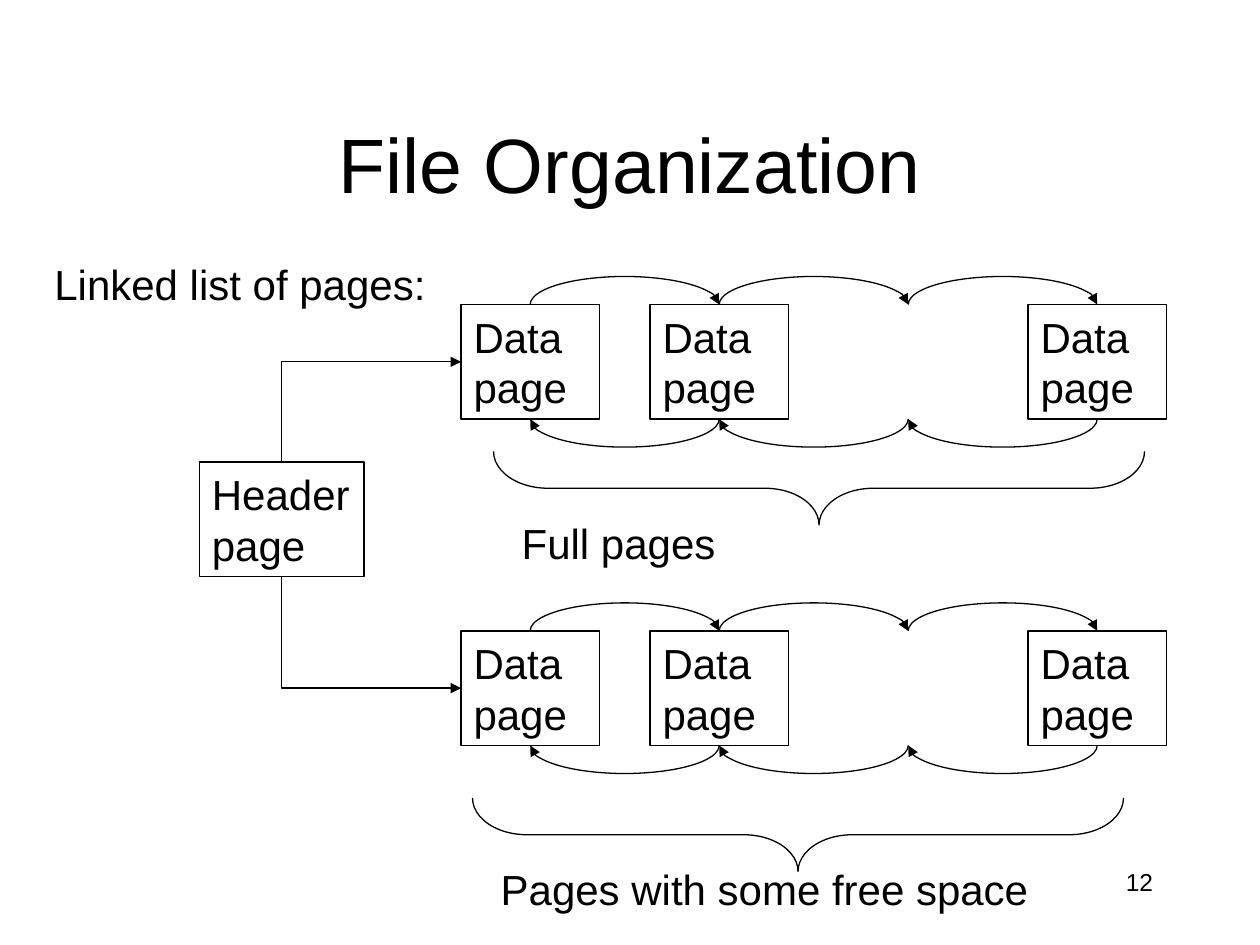
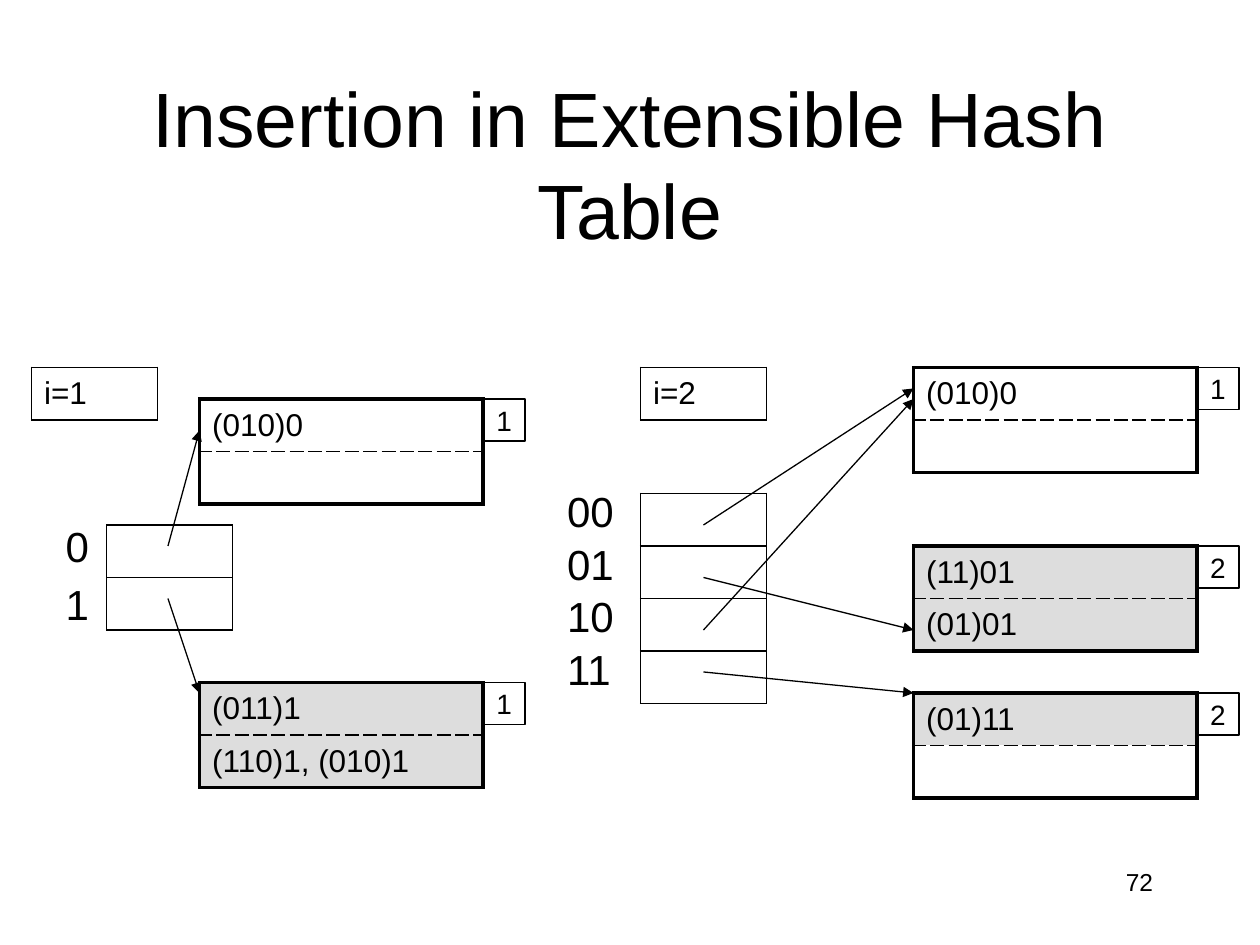
from dataclasses import dataclass

import lxml.etree
import pptx
import pptx.dml.color
import pptx.enum.dml
import pptx.enum.shapes
import pptx.enum.text
import pptx.oxml.ns
import pptx.shapes.autoshape
import pptx.shapes.connector
import pptx.slide
import pptx.table
import pptx.text.text
import pptx.util

Pt = pptx.util.Pt
qn = pptx.oxml.ns.qn
Align = pptx.enum.text.PP_ALIGN
Anchor = pptx.enum.text.MSO_ANCHOR
Preset = pptx.enum.shapes.MSO_SHAPE
Route = pptx.enum.shapes.MSO_CONNECTOR


@dataclass(frozen=True)
class Theme:
    font: str = "Arial"
    ink: pptx.dml.color.RGBColor = pptx.dml.color.RGBColor(0, 0, 0)
    changed: pptx.dml.color.RGBColor = pptx.dml.color.RGBColor(0xDD, 0xDD, 0xDD)
    title: float = 44
    label: float = 24
    entry: float = 18
    badge: float = 16
    number: float = 14
    thin: float = 0.75
    grid: float = 1
    frame: float = 2.25


THEME = Theme()


@dataclass(frozen=True)
class Box:
    left: float
    top: float
    width: float
    height: float

    def lengths(self) -> tuple[int, ...]:
        return Pt(self.left), Pt(self.top), Pt(self.width), Pt(self.height)


@dataclass(frozen=True)
class PageList:
    """A doubly linked row of data pages with a brace and caption below."""
    top: float
    brace: Box
    caption: str
    caption_box: Box
    header_site: int


@dataclass(frozen=True)
class Bucket:
    left: float
    top: float
    depth: str
    entries: tuple[str, str]
    changed_rows: int = 0


@dataclass(frozen=True)
class Directory:
    left: float
    top: float
    depth: str
    depth_left: float
    keys: tuple[str, ...]
    keys_left: float
    keys_top: float
    key_step: float


@dataclass(frozen=True)
class Pointer:
    x1: float
    y1: float
    x2: float
    y2: float


PAGE_LEFT, PAGE_PITCH, PAGE_WIDTH, PAGE_HEIGHT = 263.5, 108, 79, 65.5
PAGE_SLOTS = (0, 1, 3)
LINK_RISE = 16
HEADER = Box(114, 264, 94, PAGE_HEIGHT)
PAGE_LISTS = (
    PageList(174, Box(447, 93, 42, 372), "Full pages", Box(291, 292, 320, 36), 0),
    PageList(360.5, Box(435, 291, 42, 372), "Pages with some free space",
             Box(279, 490, 320, 36), 2),
)

ROW_HEIGHT, BUCKET_WIDTH, DIRECTORY_WIDTH, BADGE_SIZE = 30, 162, 72, 24
DIRECTORIES = (
    Directory(61, 300, "i=1", 18, ("0", "1"), 30.5, 294, 33),
    Directory(366, 282, "i=2", 366, ("00", "01", "10", "11"), 317, 274, ROW_HEIGHT),
)
BUCKETS = (
    Bucket(114, 228, "1", ("(010)0", "")),
    Bucket(114, 390, "1", ("(011)1", "(110)1, (010)1"), 2),
    Bucket(522, 210, "1", ("(010)0", "")),
    Bucket(522, 312, "2", ("(11)01", "(01)01"), 2),
    Bucket(522, 396, "2", ("(01)11", ""), 1),
)
POINTERS = (
    Pointer(96, 312, 114, 246),
    Pointer(96, 342, 114, 396),
    Pointer(402, 300, 522, 222),
    Pointer(402, 330, 522, 360),
    Pointer(402, 360, 522, 228),
    Pointer(402, 384, 522, 396),
)


def write(paragraph: pptx.text.text._Paragraph, text: str, size: float,
          align: Align = Align.LEFT) -> None:
    """Add each line of the text as a run, with line breaks between them."""
    paragraph.alignment = align
    for index, line in enumerate(text.split("\n")):
        if index:
            paragraph.add_line_break()
        run = paragraph.add_run()
        run.text = line
        run.font.name = THEME.font
        run.font.size = Pt(size)
        run.font.color.rgb = THEME.ink


def add_label(slide: pptx.slide.Slide, box: Box, text: str,
              size: float = THEME.label, align: Align = Align.LEFT) -> None:
    frame = slide.shapes.add_textbox(*box.lengths()).text_frame
    frame.word_wrap = True
    write(frame.paragraphs[0], text, size, align)


def add_outline(slide: pptx.slide.Slide, preset: Preset,
                box: Box) -> pptx.shapes.autoshape.Shape:
    outline = slide.shapes.add_shape(preset, *box.lengths())
    outline.shadow.inherit = False
    outline.fill.background()
    outline.line.color.rgb = THEME.ink
    outline.line.width = Pt(THEME.thin)
    return outline


def add_node(slide: pptx.slide.Slide, box: Box, text: str, size: float = THEME.label,
             align: Align = Align.LEFT, inset: float = 7.2) -> pptx.shapes.autoshape.Shape:
    node = add_outline(slide, Preset.RECTANGLE, box)
    frame = node.text_frame
    frame.word_wrap = True
    frame.vertical_anchor = Anchor.MIDDLE
    frame.margin_left = Pt(inset)
    frame.margin_right = 0
    write(frame.paragraphs[0], text, size, align)
    return node


def add_arrowhead(line: pptx.dml.line.LineFormat, end: str) -> None:
    lxml.etree.SubElement(line._get_or_add_ln(), qn(f"a:{end}"), type="triangle")


def add_arrow(slide: pptx.slide.Slide, route: Route, pointer: Pointer,
              end: str) -> pptx.shapes.connector.Connector:
    arrow = slide.shapes.add_connector(
        route, Pt(pointer.x1), Pt(pointer.y1), Pt(pointer.x2), Pt(pointer.y2))
    arrow.line.color.rgb = THEME.ink
    arrow.line.width = Pt(THEME.thin)
    add_arrowhead(arrow.line, end)
    lxml.etree.SubElement(arrow.element.spPr, qn("a:effectLst"))
    return arrow


def add_link(slide: pptx.slide.Slide, left: float, level: float,
             start_angle: int, end_angle: int) -> None:
    """Draw half an ellipse, clockwise, with an arrowhead at its end."""
    link = add_outline(slide, Preset.ARC,
                       Box(left, level - LINK_RISE, PAGE_PITCH, 2 * LINK_RISE))
    # Angles are stored in 60000ths of a degree, adjustments in 100000ths.
    link.adjustments[0] = start_angle * 0.6
    link.adjustments[1] = end_angle * 0.6
    add_arrowhead(link.line, "tailEnd")


def add_page_list(slide: pptx.slide.Slide, pages: PageList,
                  header: pptx.shapes.autoshape.Shape) -> None:
    nodes = [add_node(slide, Box(PAGE_LEFT + slot * PAGE_PITCH, pages.top,
                                 PAGE_WIDTH, PAGE_HEIGHT), "Data\npage")
             for slot in PAGE_SLOTS]
    for slot in range(PAGE_SLOTS[-1]):
        left = PAGE_LEFT + PAGE_WIDTH / 2 + slot * PAGE_PITCH
        add_link(slide, left, pages.top, 180, 0)
        add_link(slide, left, pages.top + PAGE_HEIGHT, 0, 180)

    header_edge = HEADER.top + (HEADER.height if pages.header_site == 2 else 0)
    elbow = add_arrow(
        slide, Route.ELBOW,
        Pointer(PAGE_LEFT, pages.top + PAGE_HEIGHT / 2,
                HEADER.left + HEADER.width / 2, header_edge), "headEnd")
    elbow.element.spPr.find(qn("a:prstGeom")).set("prst", "bentConnector2")
    elbow.begin_connect(nodes[0], 1)
    elbow.end_connect(header, pages.header_site)

    brace = add_outline(slide, Preset.RIGHT_BRACE, pages.brace)
    brace.rotation = 90
    brace.adjustments[0] = 0.74
    add_label(slide, pages.caption_box, pages.caption)


def set_border(cell: pptx.table._Cell, widths: tuple[float, ...], dashed: str = "") -> None:
    """Set left, right, top and bottom borders; dash the side named."""
    properties = cell._tc.get_or_add_tcPr()
    for index, (side, width) in enumerate(zip("LRTB", widths)):
        border = lxml.etree.Element(qn(f"a:ln{side}"), w=str(Pt(width)))
        fill = lxml.etree.SubElement(border, qn("a:solidFill"))
        lxml.etree.SubElement(fill, qn("a:srgbClr"), val=str(THEME.ink))
        lxml.etree.SubElement(border, qn("a:prstDash"),
                              val="lgDash" if side == dashed else "solid")
        properties.insert(index, border)


def add_column(slide: pptx.slide.Slide, left: float, top: float, width: float,
               entries: tuple[str, ...], changed_rows: int = 0) -> list[pptx.table._Cell]:
    """Add a one-column table, with the first changed rows shaded."""
    box = Box(left, top, width, ROW_HEIGHT * len(entries))
    table = slide.shapes.add_table(len(entries), 1, *box.lengths()).table
    table.first_row = table.horz_banding = False
    cells = [table.cell(row, 0) for row in range(len(entries))]
    for row, (cell, entry) in enumerate(zip(cells, entries)):
        cell.vertical_anchor = Anchor.MIDDLE
        if row < changed_rows:
            cell.fill.solid()
            cell.fill.fore_color.rgb = THEME.changed
        else:
            cell.fill.background()
        if entry:
            write(cell.text_frame.paragraphs[0], entry, THEME.entry)
    return cells


def add_grid(slide: pptx.slide.Slide, left: float, top: float,
             entries: tuple[str, ...]) -> None:
    for cell in add_column(slide, left, top, DIRECTORY_WIDTH, entries):
        set_border(cell, (THEME.grid,) * 4)


def add_directory(slide: pptx.slide.Slide, directory: Directory) -> None:
    add_grid(slide, directory.depth_left, 210, (directory.depth,))
    add_grid(slide, directory.left, directory.top, ("",) * len(directory.keys))
    for index, key in enumerate(directory.keys):
        add_label(slide, Box(directory.keys_left,
                             directory.keys_top + index * directory.key_step, 44, 36), key)


def add_bucket(slide: pptx.slide.Slide, bucket: Bucket) -> None:
    upper, lower = add_column(slide, bucket.left, bucket.top, BUCKET_WIDTH,
                              bucket.entries, bucket.changed_rows)
    frame = THEME.frame
    set_border(upper, (frame, frame, frame, THEME.grid), "B")
    set_border(lower, (frame, frame, THEME.grid, frame), "T")
    add_node(slide, Box(bucket.left + BUCKET_WIDTH, bucket.top, BADGE_SIZE, BADGE_SIZE),
             bucket.depth, THEME.badge, Align.CENTER, 0)


def add_titled_slide(deck: pptx.presentation.Presentation, title: str,
                     number: str) -> pptx.slide.Slide:
    slide = deck.slides.add_slide(deck.slide_layouts[5])
    heading = slide.shapes.title
    heading.left, heading.top, heading.width, heading.height = Box(54, 48, 612, 90).lengths()
    frame = heading.text_frame
    frame.word_wrap = True
    frame.auto_size = pptx.enum.text.MSO_AUTO_SIZE.NONE
    frame.vertical_anchor = Anchor.MIDDLE
    write(frame.paragraphs[0], title, THEME.title, Align.CENTER)
    add_label(slide, Box(516, 492, 150, 36), number, THEME.number, Align.RIGHT)
    return slide


def build_file_organization(deck: pptx.presentation.Presentation) -> None:
    slide = add_titled_slide(deck, "File Organization", "12")
    add_label(slide, Box(24, 144, 235, 36), "Linked list of pages:")
    header = add_node(slide, HEADER, "Header\npage")
    for pages in PAGE_LISTS:
        add_page_list(slide, pages, header)


def build_hash_insertion(deck: pptx.presentation.Presentation) -> None:
    slide = add_titled_slide(deck, "Insertion in Extensible Hash Table", "72")
    for directory in DIRECTORIES:
        add_directory(slide, directory)
    for bucket in BUCKETS:
        add_bucket(slide, bucket)
    for pointer in POINTERS:
        add_arrow(slide, Route.STRAIGHT, pointer, "tailEnd")


def main() -> None:
    deck = pptx.Presentation()
    deck.slide_width, deck.slide_height = Pt(720), Pt(540)
    build_file_organization(deck)
    build_hash_insertion(deck)
    deck.save("out.pptx")


if __name__ == "__main__":
    main()
